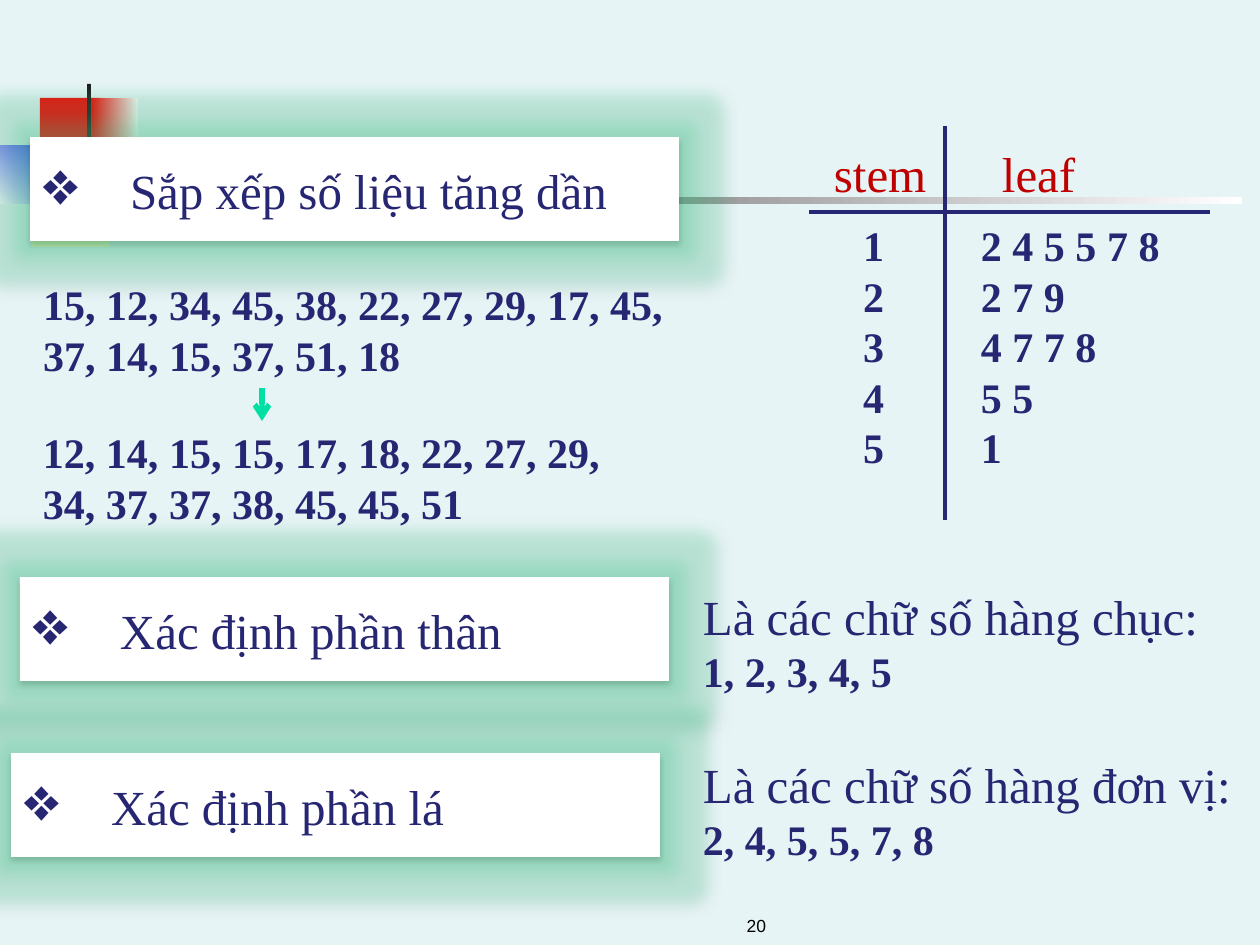
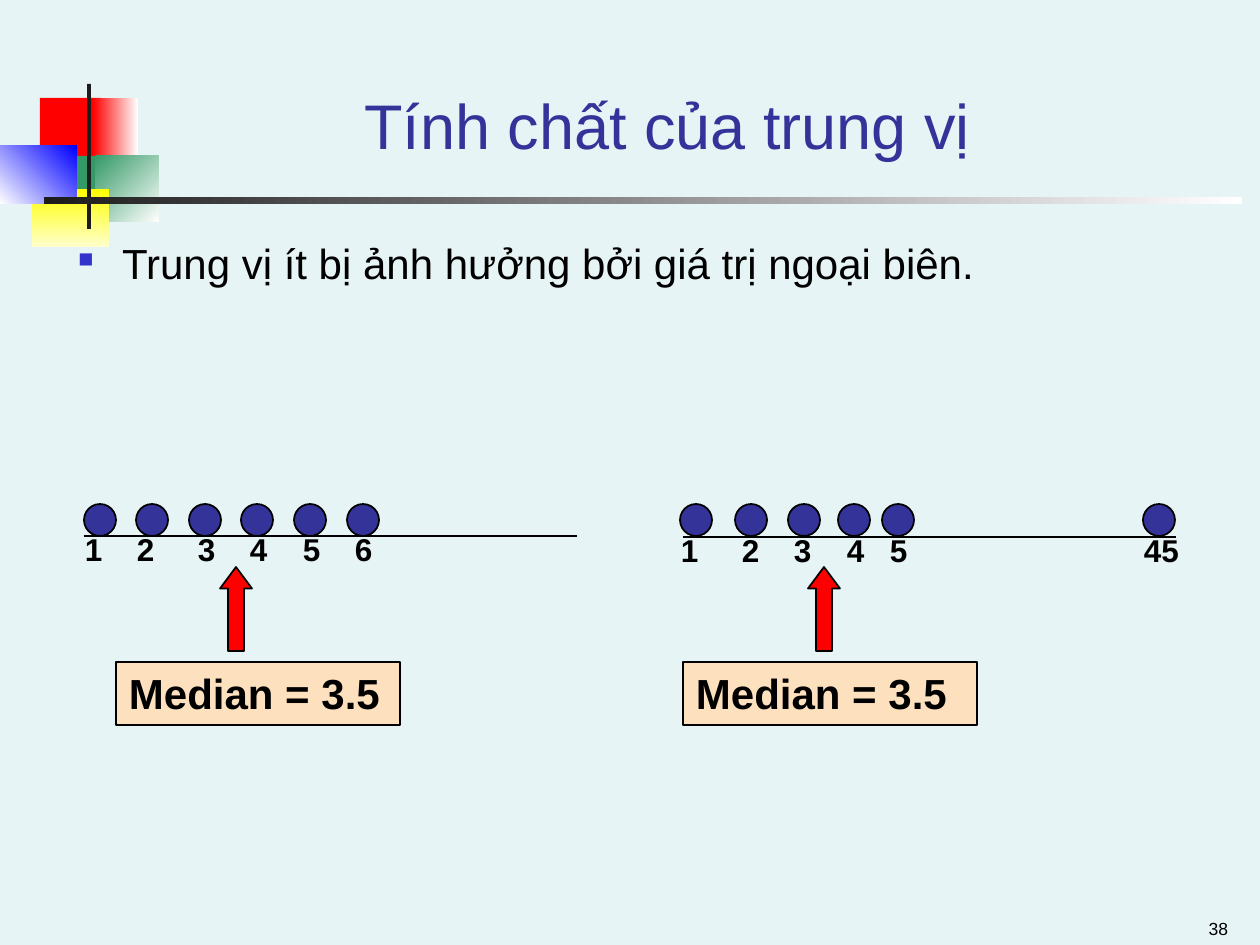
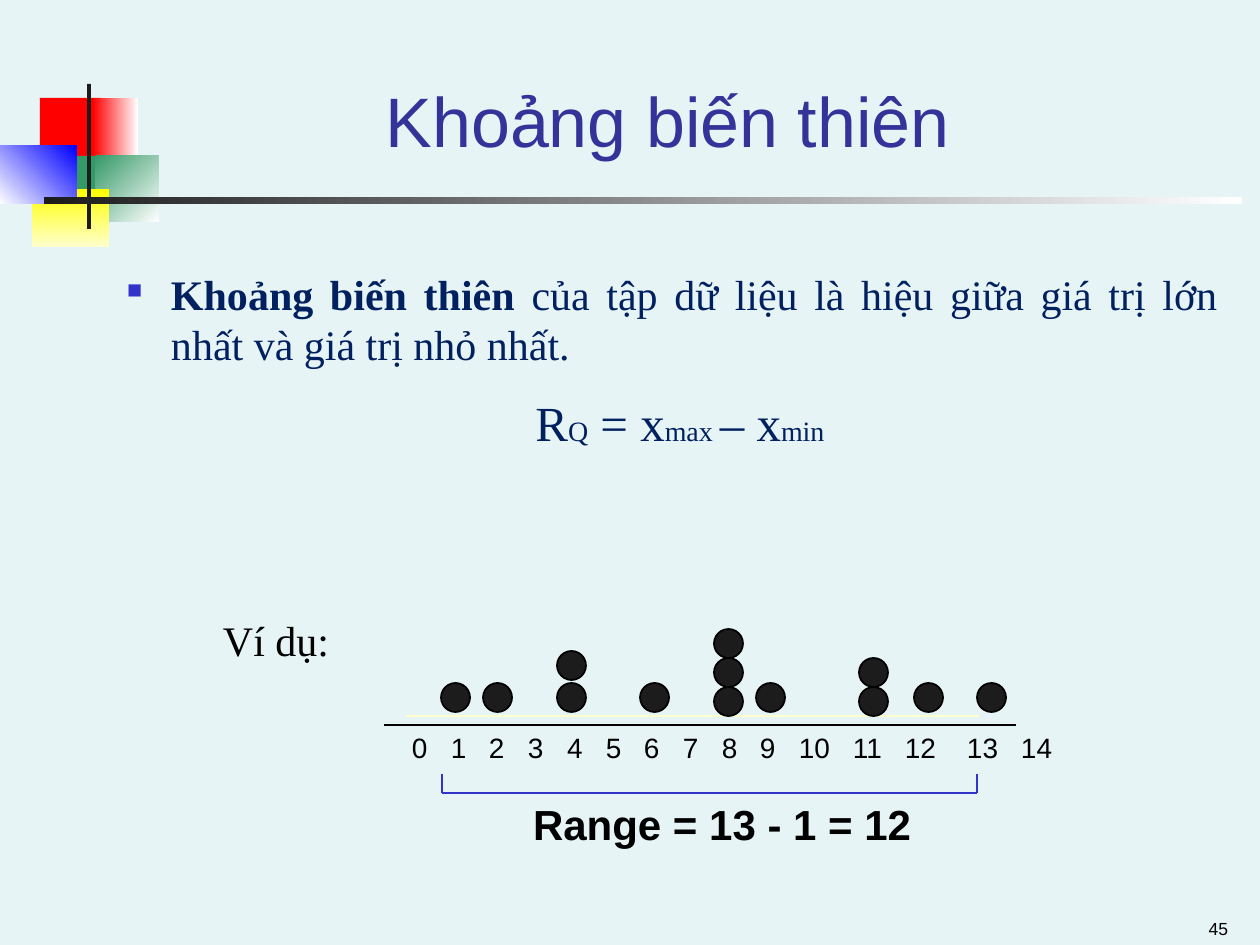
from lxml.etree import SubElement
from pptx import Presentation
from pptx.dml.color import RGBColor
from pptx.enum.shapes import MSO_CONNECTOR as Connector, MSO_SHAPE as Preset
from pptx.enum.text import MSO_ANCHOR as Anchor, PP_ALIGN as Align
from pptx.oxml.ns import qn
from pptx.util import Emu, Pt

SCALE = 914400 / 126
SANS, SERIF = "Arial", "Times New Roman"
COLORS = {
    "background": "E7F4F5", "white": "FFFFFF", "black": "000000",
    "red": "FF0000", "green": "339966", "yellow": "FFFF00",
    "cream": "FFFFCC", "blue": "0000FF", "charcoal": "1C1C1C",
    "title": "333399", "bullet": "3333CC", "ink": "262673",
    "heading": "C00000", "mint": "00DFA4", "glow": "40DC96",
    "peach": "FDE0BD", "navy": "002060",
}


def px(value):
    return Emu(round(value * SCALE))


def rgb(name):
    return RGBColor.from_string(COLORS[name])


def add_child(parent, tag, **attributes):
    values = {key: str(value) for key, value in attributes.items()}
    return SubElement(parent, qn(tag), values)


def set_bullet(para, char, indent, color=None, percent=100):
    props = para._p.get_or_add_pPr()
    props.set("marL", str(px(indent)))
    props.set("indent", str(-px(indent)))
    if color:
        add_child(add_child(props, "a:buClr"), "a:srgbClr", val=COLORS[color])
    add_child(props, "a:buSzPct", val=percent * 1000)
    add_child(props, "a:buChar", char=char)


def set_tabs(para, stops):
    tabs = add_child(para._p.get_or_add_pPr(), "a:tabLst")
    for stop in stops:
        add_child(tabs, "a:tab", pos=px(stop), algn="l")


def write(frame, paragraphs, size=24, font=SERIF, color="ink", bold=False,
          align=Align.LEFT, anchor=Anchor.TOP, inset=(13, 6), bullet=None, tabs=()):
    frame.word_wrap = True
    frame.vertical_anchor = anchor
    frame.margin_left = frame.margin_right = px(inset[0])
    frame.margin_top, frame.margin_bottom = px(inset[1]), px(6)
    for index, content in enumerate(paragraphs):
        para = frame.paragraphs[0] if index == 0 else frame.add_paragraph()
        para.alignment = align
        if bullet:
            set_bullet(para, **bullet)
        if tabs:
            set_tabs(para, tabs)
        spans = [(content, {})] if isinstance(content, str) else content
        for text, change in spans:
            span = para.add_run()
            span.text = text
            span.font.name = font
            span.font.size = Pt(change.get("size", size))
            span.font.bold = change.get("bold", bold)
            span.font.color.rgb = rgb(color)


def add_text(page, at, *paragraphs, **style):
    box = page.shapes.add_textbox(*map(px, at))
    write(box.text_frame, paragraphs, **style)
    return box


def add_figure(page, preset, at, fill, line=None, angle=0):
    figure = page.shapes.add_shape(preset, *map(px, at))
    figure.shadow.inherit = False
    if isinstance(fill, tuple):
        figure.fill.gradient()
        figure.fill.gradient_angle = -angle % 360
        for stop, name in zip(figure.fill.gradient_stops, fill):
            stop.color.rgb = rgb(name)
    else:
        figure.fill.solid()
        figure.fill.fore_color.rgb = rgb(fill)
    if line:
        figure.line.color.rgb = rgb(line)
        figure.line.width = Pt(1)
    else:
        figure.line.fill.background()
    return figure


def add_line(page, start, end, color="black", width=1, arrow=False):
    line = page.shapes.add_connector(Connector.STRAIGHT, *map(px, start + end))
    line.line.color.rgb = rgb(color)
    line.line.width = Pt(width)
    if arrow:
        add_child(line.line._get_or_add_ln(), "a:tailEnd", type="arrow")
    add_child(line._element.spPr, "a:effectLst")


def add_page(deck, number, number_at=(945, 901, 294, 44), title=None, title_size=36):
    page = deck.slides.add_slide(deck.slide_layouts[6])
    page.background.fill.solid()
    page.background.fill.fore_color.rgb = rgb("background")
    rect = Preset.RECTANGLE
    add_figure(page, rect, (40, 98, 61, 66), "red")
    add_figure(page, rect, (93, 98, 45, 66), ("red", "white"))
    if title:
        add_figure(page, rect, (94, 156, 65, 66), ("green", "white"), angle=45)
        add_figure(page, rect, (54, 156, 41, 66), "green")
    add_figure(page, rect, (32, 189, 77, 58), ("yellow", "cream"), angle=90)
    add_figure(page, rect, (0, 146, 77, 58), ("white", "blue"), angle=315)
    add_figure(page, rect, (87, 84, 4, 145), "charcoal")
    add_figure(page, rect, (44, 197, 1198, 7), ("charcoal", "white"))
    add_text(page, number_at, str(number), size=10, font=SANS, color="black",
             align=Align.RIGHT, anchor=Anchor.BOTTOM, inset=(11, 6))
    if title:
        add_text(page, (159, 32, 1017, 136), title, size=title_size, font=SANS,
                 color="title", align=Align.CENTER, anchor=Anchor.BOTTOM, inset=(11, 6))
    return page


def add_body(page, at, *paragraphs, **style):
    bullet = {"char": "■", "indent": 44, "color": "bullet", "percent": 50}
    add_text(page, at, *paragraphs, bullet=bullet, inset=(11, 6), **style)


def add_step(page, left, top, text):
    card = add_figure(page, Preset.RECTANGLE, (left, top, 649, 104), "white")
    effects = card._element.spPr.find(qn("a:effectLst"))
    glow = add_child(effects, "a:glow", rad=Pt(18))
    shadow = add_child(effects, "a:outerShdw", blurRad=Pt(3.5), dist=Pt(2.2),
                       dir=5400000, algn="ctr", rotWithShape=0)
    for effect, name, alpha in ((glow, "glow", 20), (shadow, "black", 32)):
        tint = add_child(effect, "a:srgbClr", val=COLORS[name])
        add_child(tint, "a:alpha", val=alpha * 1000)
    write(card.text_frame, [text], size=28, anchor=Anchor.MIDDLE, inset=(13, 8),
          bullet={"char": "❖", "indent": 87, "percent": 125})


def add_scale_labels(page, top, height, labels, lefts, **style):
    first = lefts[0]
    add_text(page, (first - 13, top, lefts[-1] - first + 90, height),
             "\t".join(map(str, labels)), font=SANS, color="black",
             tabs=[left - first for left in lefts[1:]], **style)


def add_median_plot(page, axis_left, axis_top, dots, labels, label_lefts,
                    arrow_left, card_left, card_width):
    add_scale_labels(page, axis_top - 12, 50, labels, label_lefts, size=18, bold=True)
    for left in dots:
        add_figure(page, Preset.OVAL, (left, 504, 32, 32), "title", "black")
    arrow = add_figure(page, Preset.RIGHT_ARROW, (arrow_left, 593, 84, 32), "red", "black")
    arrow.rotation = 270
    arrow.adjustments[1] = 0.67
    card = add_figure(page, Preset.RECTANGLE, (card_left, 662, card_width, 63),
                      "peach", "black")
    write(card.text_frame, ["Median = 3.5"], font=SANS, color="black", bold=True)
    add_line(page, (axis_left, axis_top), (axis_left + 493, axis_top))


def build_stem_leaf(deck):
    page = add_page(deck, 20, (483, 892, 294, 50))
    add_step(page, 30, 137, "Sắp xếp số liệu tăng dần")
    add_text(page, (30, 273, 649, 115),
             "15, 12, 34, 45, 38, 22, 27, 29, 17, 45, 37, 14, 15, 37, 51, 18", bold=True)
    add_text(page, (30, 421, 630, 115),
             "12, 14, 15, 15, 17, 18, 22, 27, 29, 34, 37, 37, 38, 45, 45, 51", bold=True)
    add_line(page, (262, 388), (262, 421), "mint", 3, arrow=True)
    add_step(page, 20, 577, "Xác định phần thân")
    add_line(page, (945, 126), (945, 520), "ink", 2.25)
    add_line(page, (809, 212), (1210, 212), "ink", 2.25)
    for left, heading in ((821, "stem"), (989, "leaf")):
        add_text(page, (left, 137, 124, 72), heading, size=28, color="heading")
    rows = {"1": "2 4 5 5 7 8", "2": "2 7 9", "3": "4 7 7 8", "4": "5 5", "5": "1"}
    add_text(page, (850, 214, 97, 267), *rows.keys(), bold=True)
    add_text(page, (968, 214, 242, 267), *rows.values(), bold=True)
    add_step(page, 11, 753, "Xác định phần lá")
    notes = ((581, "Là các chữ số hàng chục:", "1, 2, 3, 4, 5"),
             (749, "Là các chữ số hàng đơn vị:", "2, 4, 5, 5, 7, 8"))
    for top, lead, digits in notes:
        add_text(page, (690, top, 591, 123), lead,
                 [(digits, {"size": 24, "bold": True})], size=28)


def build_median(deck):
    page = add_page(deck, 38, title="Tính chất của trung vị")
    add_body(page, (67, 231, 1152, 661),
             "Trung vị ít bị ảnh hưởng bởi giá trị ngoại biên.", font=SANS, color="black")
    add_median_plot(page, 84, 536, (84, 136, 189, 241, 294, 347), (1, 2, 3, 4, 5, 6),
                    (85, 137, 198, 250, 303, 355), 194, 116, 284)
    add_median_plot(page, 683, 537, (680, 735, 788, 838, 882, 1143), (1, 2, 3, 4, 5, 45),
                    (681, 742, 794, 847, 890, 1144), 782, 683, 294)


def build_range(deck):
    page = add_page(deck, 45, title="Khoảng biến thiên", title_size=40)
    add_body(page, (116, 262, 1113, 147),
             [("Khoảng biến thiên ", {"bold": True}),
              ("của tập dữ liệu là hiệu giữa giá trị lớn nhất và giá trị nhỏ nhất.", {})],
             color="navy", align=Align.JUSTIFY)
    for start, end in ((406, 833), (814, 979)):
        add_line(page, (start, 716), (end, 716), "cream")
    stacks = ((441, 683, 1, 29), (483, 683, 1, 29), (557, 683, 2, 32), (640, 683, 1, 29),
              (714, 687, 3, 29), (756, 683, 1, 29), (859, 687, 2, 29), (914, 683, 1, 29),
              (977, 683, 1, 29))
    for left, top, count, step in stacks:
        for level in range(count):
            add_figure(page, Preset.OVAL, (left, top - level * step, 29, 29),
                       "charcoal", "black")
    label_lefts = [round(412 + 38.7 * value) for value in range(11)]
    add_scale_labels(page, 725, 45, range(15), label_lefts + [853, 905, 967, 1021], size=16)
    left, right, top, bottom = 442, 977, 774, 793
    add_line(page, (left, bottom), (right, bottom), "bullet", 0.75)
    for side in (left, right):
        add_line(page, (side, bottom), (side, top), "bullet", 0.75)
    add_text(page, (520, 793, 524, 63), "Range = 13 - 1 = 12",
             font=SANS, color="black", bold=True)
    add_line(page, (384, 725), (1016, 725), width=1.5)
    add_text(page, (210, 609, 210, 63), "Ví dụ:", color="black")
    small = {"size": 16}
    add_text(page, (424, 387, 512, 72),
             [("R", {}), ("Q", small), (" = x", {}), ("max ", small), ("– x", {}),
              ("min", small)],
             size=28, color="navy", align=Align.CENTER)


def main():
    deck = Presentation()
    deck.slide_width, deck.slide_height = px(1260), px(945)
    build_stem_leaf(deck)
    build_median(deck)
    build_range(deck)
    deck.save("out.pptx")


if __name__ == "__main__":
    main()
